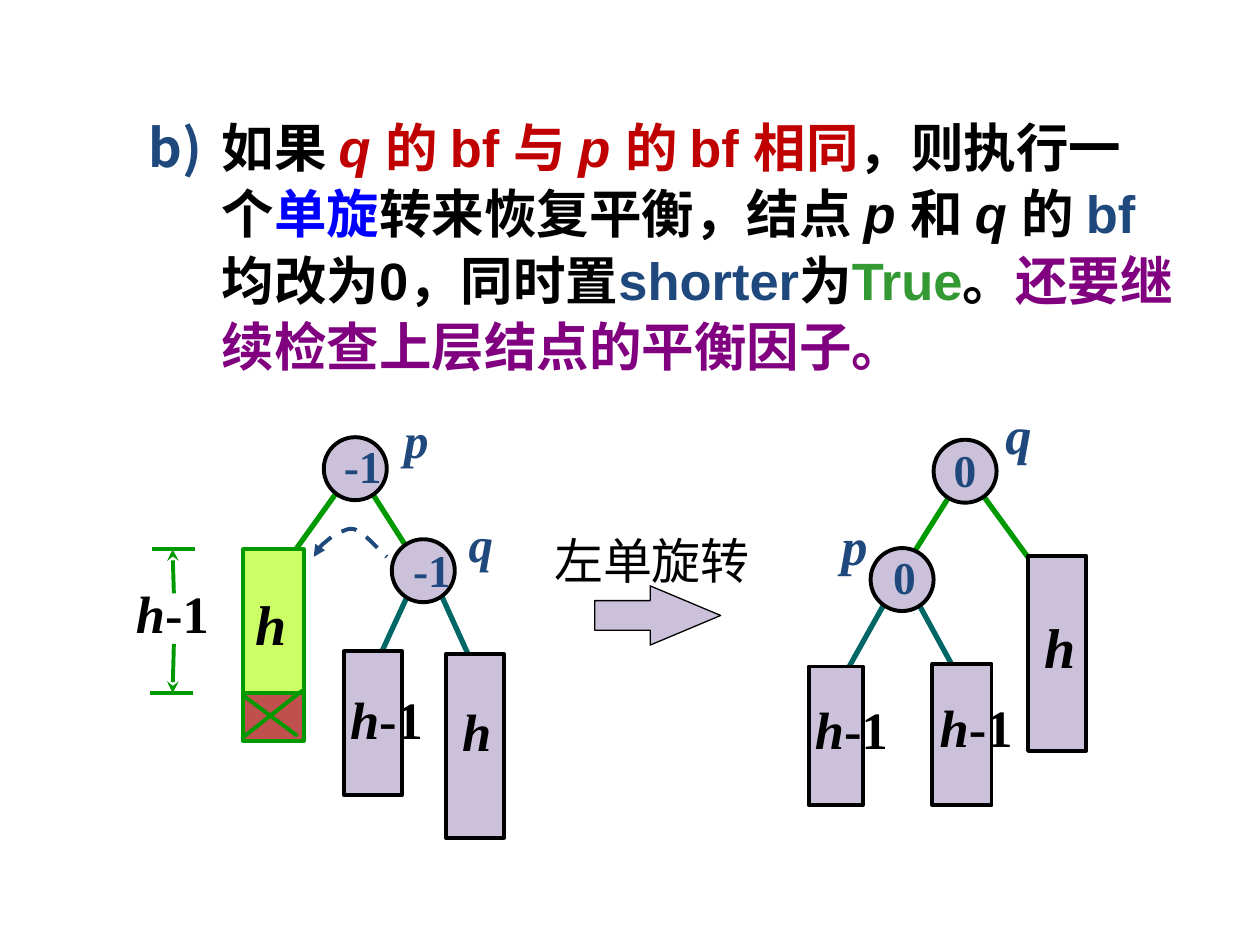
from lxml import etree
from pptx import Presentation
from pptx import util as u
from pptx.dml.color import RGBColor
from pptx.enum import dml, shapes, text
from pptx.oxml import ns

PX = 9144  # one px is a hundredth of an inch
HUE = {"ink": "000000", "navy": "1F497D", "red": "C00000", "blue": "0000FF",
       "leaf": "339933", "plum": "800080", "teal": "006666", "green": "009900",
       "lilac": "CCC1DA", "lime": "CCFF66", "brick": "C0504D"}
KIND = shapes.MSO_SHAPE


def rgb(name):
    return RGBColor.from_string(HUE[name])


def sub(node, tag, **attrs):
    return etree.SubElement(node, ns.qn(tag), attrs)


def curve(start, parts, steps=8):
    """Points along a chain of cubic Bezier parts."""
    spots = [start]
    for b, c, d in parts:
        a = spots[-1]
        for i in range(1, steps + 1):
            t = i / steps
            s = 1 - t
            spots.append(tuple(s**3 * w + 3 * s * s * t * x + 3 * s * t * t * y + t**3 * z
                               for w, x, y, z in zip(a, b, c, d)))
    return spots


class Pen:
    face = "Times New Roman"

    def __init__(self, slide):
        self.slide = slide
        self.shapes = slide.shapes

    def style(self, font, size, hue, face=None, bold=True):
        font.name = face or self.face
        font.size = u.Pt(size)
        font.bold = bold
        font.color.rgb = rgb(hue)

    def edge(self, line, hue, width):
        line.color.rgb = rgb(hue)
        line.width = u.Pt(width)

    def body(self, box, runs):
        hold = self.slide.placeholders[1]
        hold.left, hold.top, hold.width, hold.height = (n * PX for n in box)
        hold.text_frame.auto_size = text.MSO_AUTO_SIZE.NONE
        para = hold.text_frame.paragraphs[0]
        para.level = 1
        para.line_spacing = 1.05
        props = para._p.get_or_add_pPr()
        props.set("marL", str(108 * PX))
        props.set("indent", str(-58 * PX))
        sub(sub(props, "a:buClr"), "a:srgbClr", val=HUE["navy"])
        sub(props, "a:buAutoNum", type="alphaLcParenR", startAt="2")
        self.style(para.font, 30, "ink", "Arial")
        for words, hue, slant in runs:
            run = para.add_run()
            run.text = words
            run.font.color.rgb = rgb(hue)
            run.font.italic = slant

    def label(self, x, y, w, h, runs, size, hue="ink", bold=True, wrap=True):
        """Runs are pairs of words and slant."""
        box = self.shapes.add_textbox(x * PX, y * PX, w * PX, h * PX)
        frame = box.text_frame
        frame.word_wrap = wrap
        frame.auto_size = text.MSO_AUTO_SIZE.SHAPE_TO_FIT_TEXT
        para = frame.paragraphs[0]
        self.style(para.font, size, hue, bold=bold)
        for words, slant in runs:
            run = para.add_run()
            run.text = words
            run.font.italic = slant

    def shape(self, kind, x, y, w, h, fill="lilac", hue="ink", width=2.25):
        item = self.shapes.add_shape(kind, x * PX, y * PX, w * PX, h * PX)
        item.shadow.inherit = False
        item.fill.solid()
        item.fill.fore_color.rgb = rgb(fill)
        self.edge(item.line, hue, width)
        return item

    def line(self, x1, y1, x2, y2, hue="green", width=2.25, tail=None):
        item = self.shapes.add_connector(shapes.MSO_CONNECTOR.STRAIGHT,
                                         x1 * PX, y1 * PX, x2 * PX, y2 * PX)
        self.edge(item.line, hue, width)
        if tail:
            sub(item.line._get_or_add_ln(), "a:tailEnd", type=tail)
        sub(item._element.spPr, "a:effectLst")

    def swing(self, spots):
        spots = [(round(x * PX), round(y * PX)) for x, y in spots]
        path = self.shapes.build_freeform(*spots[0])
        path.add_line_segments(spots[1:], close=False)
        item = path.convert_to_shape()
        item.shadow.inherit = False
        item.fill.background()
        self.edge(item.line, "navy", 2.25)
        item.line.dash_style = dml.MSO_LINE.DASH
        sub(item.line._get_or_add_ln(), "a:headEnd", type="triangle")

    def node(self, x, y):
        self.shape(KIND.OVAL, x, y, 50, 50)


deck = Presentation()
deck.slide_width, deck.slide_height = 1000 * PX, 750 * PX
slide = deck.slides.add_slide(deck.slide_layouts[1])
title = slide.shapes.title._element
title.getparent().remove(title)
pen = Pen(slide)

H, LESS = [("h", True)], [("h", True), ("-1", False)]
P, Q = [("p", True)], [("q", True)]
ZERO, MINUS = [("0", False)], [("-1", False)]

# Rule
pen.body((58, 84, 883, 244), [
    ("如果 ", "ink", False), ("q ", "red", True), ("的 bf 与 ", "red", False),
    ("p ", "red", True), ("的 bf 相同", "red", False), ("，则执行一个", "ink", False),
    ("单旋", "blue", False), ("转来恢复平衡，结点 ", "ink", False), ("p ", "ink", True),
    ("和 ", "ink", False), ("q ", "ink", True), ("的 ", "ink", False),
    ("bf ", "navy", False), ("均改为0，同时置", "ink", False),
    ("shorter", "navy", False), ("为", "ink", False), ("True", "leaf", False),
    ("。", "ink", False), ("还要继续检查上层结点的平衡因子。", "plum", False)])
pen.label(430, 416, 176, 57, [("左单旋转", False)], 28, bold=False, wrap=False)

# Tree after the rotation
for ends in [(707, 470, 665, 545), (724, 470, 765, 545)]:
    pen.line(*ends, "teal", 3)
for ends in [(766, 374, 708, 466), (772, 382, 839, 474)]:
    pen.line(*ends, "green", 3)
pen.node(741, 349)
for box in [(642, 529, 43, 110), (740, 527, 47, 112), (816, 441, 46, 155)]:
    pen.shape(KIND.RECTANGLE, *box)
pen.node(691, 435)
pen.label(699, 431, 58, 53, ZERO, 26, "navy")
pen.label(736, 547, 91, 60, LESS, 30)
pen.label(637, 548, 83, 60, LESS, 30)
pen.label(658, 402, 52, 60, P, 30, "navy")
pen.label(819, 481, 42, 63, H, 32)
pen.label(788, 314, 52, 60, Q, 30, "navy")
pen.label(747, 346, 75, 53, ZERO, 26, "navy")

# Turning arrow
pen.swing(curve((249, 442), [((251, 439), (253, 435), (256, 432)),
                             ((260, 429), (266, 423), (271, 422)),
                             ((276, 420), (279, 418), (285, 422)),
                             ((291, 425), (303, 439), (307, 442))]))

# Tree before the rotation
for ends in [(346, 463, 380, 538), (333, 452, 299, 526)]:
    pen.line(*ends, "teal", 3)
for ends in [(283, 372, 341, 463), (275, 380, 209, 472)]:
    pen.line(*ends, "green", 3)
pen.node(257, 347)
pen.shape(KIND.RECTANGLE, 193, 436, 48, 150, "lime", "green")
pen.shape(KIND.RECTANGLE, 273, 517, 46, 114)
pen.shape(KIND.RECTANGLE, 193, 550, 48, 38, "brick", "green")
pen.line(240, 548, 193, 585)
pen.line(193, 552, 236, 584)
pen.label(263, 343, 58, 53, MINUS, 26, "navy")
pen.label(193, 463, 51, 63, H, 32)
pen.label(268, 540, 83, 60, LESS, 30)
pen.label(311, 320, 52, 57, P, 28, "navy")
pen.shape(KIND.RECTANGLE, 354, 519, 46, 146)
pen.label(357, 550, 42, 60, H, 30)
pen.node(311, 428)
pen.label(318, 425, 58, 53, MINUS, 26, "navy")
pen.label(362, 403, 52, 57, Q, 28, "navy")

# Height mark
pen.label(98, 456, 83, 60, LESS, 30)
pen.line(138, 511, 137, 550, tail="stealth")
pen.line(119, 550, 153, 550)
pen.line(121, 436, 155, 436)
pen.line(138, 471, 137, 436, tail="stealth")

# Step arrow
step = pen.shape(KIND.RIGHT_ARROW, 472, 465, 100, 47, width=0.75)
step.adjustments[0], step.adjustments[1] = 0.5, 1.19

deck.save("out.pptx")
